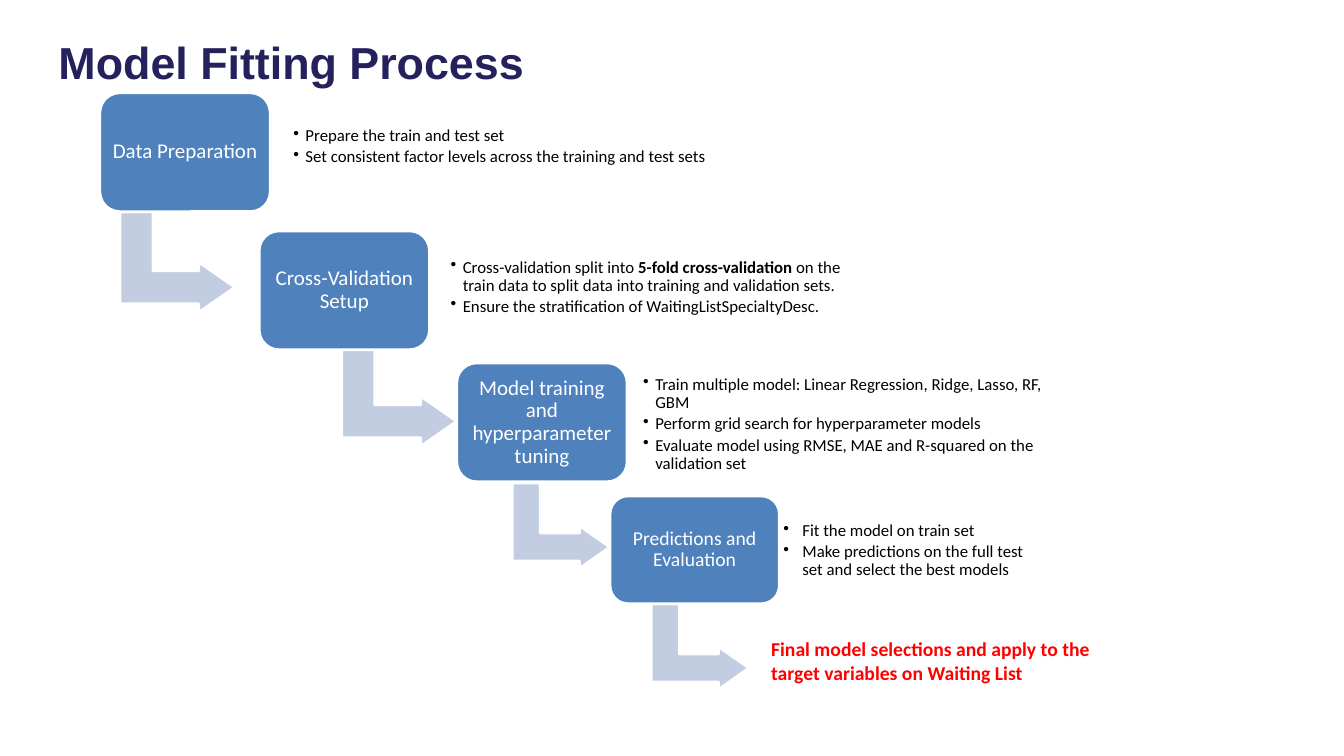
import pptx
import pptx.util
import pptx.dml.color
import pptx.enum.shapes
import pptx.enum.text
import pptx.oxml.ns
import lxml.etree

Inches = pptx.util.Inches
Pt = pptx.util.Pt
SHAPES = pptx.enum.shapes.MSO_SHAPE
ALIGN = pptx.enum.text.PP_ALIGN
ANCHOR = pptx.enum.text.MSO_ANCHOR

COLORS = {
    "title": "25215D",
    "step": "4F81BD",
    "arrow": "C2CDE1",
    "white": "FFFFFF",
    "body": "000000",
    "result": "FF0000",
}

STEPS = [
    ((0.99, 0.92, 1.69, 1.18), "Data Preparation", 15, 0.06),
    ((2.57, 2.29, 1.69, 1.18), "Cross-Validation Setup", 15, 0.06),
    ((4.53, 3.6, 1.69, 1.18), "Model training and hyperparameter tuning", 15, 0.06),
    ((6.05, 4.92, 1.68, 1.07), "Predictions and Evaluation", 14, 0.14),
]

ARROWS = [
    (1.26, 2.03, 1, 1.14),
    (3.46, 3.36, 1, 1.14),
    (5.14, 4.73, 0.85, 0.97),
    (6.52, 5.93, 0.85, 0.97),
]

DETAILS = [
    ((2.86, 1.04, 5.21, 0.83), 0.05, 0.12, [
        ["Prepare the train and test set"],
        ["Set consistent factor levels across the training and test sets"],
    ]),
    ((4.4, 2.37, 4.25, 0.96), 0.07, 0.12, [
        ["Cross-validation split into ", "5-fold cross-validation",
         " on the train data to split data into training and validation sets."],
        ["Ensure the stratification of WaitingListSpecialtyDesc."],
    ]),
    ((6.33, 3.73, 4.16, 0.96), 0.05, 0.12, [
        ["Train multiple model: Linear Regression, Ridge, Lasso, RF, GBM"],
        ["Perform grid search for hyperparameter models"],
        ["Evaluate model using RMSE, MAE and R-squared on the validation set"],
    ]),
    ((7.67, 5.06, 2.65, 0.81), 0.1, 0.19, [
        ["Fit the model on train set"],
        ["Make predictions on the full test set and select the best models"],
    ]),
]


class ProcessPage:
    heading_font = "Arial"
    body_font = "Calibri"

    def __init__(self, deck):
        self.page = deck.slides.add_slide(deck.slide_layouts[5])

    def color(self, name):
        return pptx.dml.color.RGBColor.from_string(COLORS[name])

    def style(self, font, size, color, name=None, bold=None):
        font.name = name or self.body_font
        font.size = Pt(size)
        font.bold = bold
        font.color.rgb = self.color(color)

    def frame(self, box, margins, anchor):
        frame = box.text_frame
        frame.word_wrap = True
        frame.vertical_anchor = anchor
        frame.margin_left = frame.margin_right = Inches(margins[0])
        frame.margin_top = frame.margin_bottom = Inches(margins[1])
        return frame

    def title(self, text, place):
        box = self.page.shapes.title
        box.left, box.top, box.width, box.height = map(Inches, place)
        frame = self.frame(box, (0, 0), ANCHOR.TOP)
        frame.auto_size = pptx.enum.text.MSO_AUTO_SIZE.NONE
        frame.text = text
        para = frame.paragraphs[0]
        para.alignment = ALIGN.LEFT
        self.style(para.font, 32, "title", self.heading_font, True)

    def shape(self, kind, place, fill, adjustments):
        shape = self.page.shapes.add_shape(kind, *map(Inches, place))
        shape.shadow.inherit = False
        shape.fill.solid()
        shape.fill.fore_color.rgb = self.color(fill)
        shape.line.color.rgb = self.color("white")
        shape.line.width = Pt(2)
        for index, value in enumerate(adjustments):
            shape.adjustments[index] = value
        return shape

    def arrow(self, place):
        arrow = self.shape(SHAPES.BENT_UP_ARROW, place, "arrow", (0.328, 0.25, 0.358))
        arrow.rotation = 90

    def step(self, place, text, size, margin):
        box = self.shape(SHAPES.ROUNDED_RECTANGLE, place, "step", (0.167,))
        frame = self.frame(box, (margin, margin), ANCHOR.MIDDLE)
        frame.text = text
        para = frame.paragraphs[0]
        para.alignment = ALIGN.CENTER
        para.line_spacing = 0.9
        self.style(para.font, size, "white")

    def bullets(self, place, margin, indent, items):
        box = self.page.shapes.add_textbox(*map(Inches, place))
        frame = self.frame(box, (margin, margin), ANCHOR.MIDDLE)
        for index, pieces in enumerate(items):
            para = frame.add_paragraph() if index else frame.paragraphs[0]
            para.line_spacing = 0.9
            para.space_after = Pt(2.2)
            self.style(para.font, 12, "body")
            for position, piece in enumerate(pieces):
                span = para.add_run()
                span.text = piece
                if position % 2:
                    span.font.bold = True
            self.bullet(para, indent)

    def bullet(self, para, indent):
        properties = para._p.get_or_add_pPr()
        properties.set("marL", str(Inches(indent)))
        properties.set("indent", str(-Inches(indent)))
        mark = lxml.etree.Element(pptx.oxml.ns.qn("a:buChar"), char="•")
        properties.find(pptx.oxml.ns.qn("a:spcAft")).addnext(mark)

    def result(self, text, place):
        box = self.page.shapes.add_textbox(*map(Inches, place))
        frame = self.frame(box, (0.1, 0.05), ANCHOR.TOP)
        frame.text = text
        self.style(frame.paragraphs[0].font, 14, "result", bold=True)


def main():
    deck = pptx.Presentation()
    deck.slide_width = Inches(13.33)
    deck.slide_height = Inches(7.5)
    process = ProcessPage(deck)
    process.title("Model Fitting Process", (0.58, 0.34, 12.17, 0.54))
    for arrow, step, detail in zip(ARROWS, STEPS, DETAILS):
        process.arrow(arrow)
        process.step(*step)
        process.bullets(*detail)
    process.result(
        "Final model selections and apply to the target variables on Waiting List",
        (7.55, 6.27, 3.75, 0.57),
    )
    deck.save("out.pptx")


if __name__ == "__main__":
    main()
